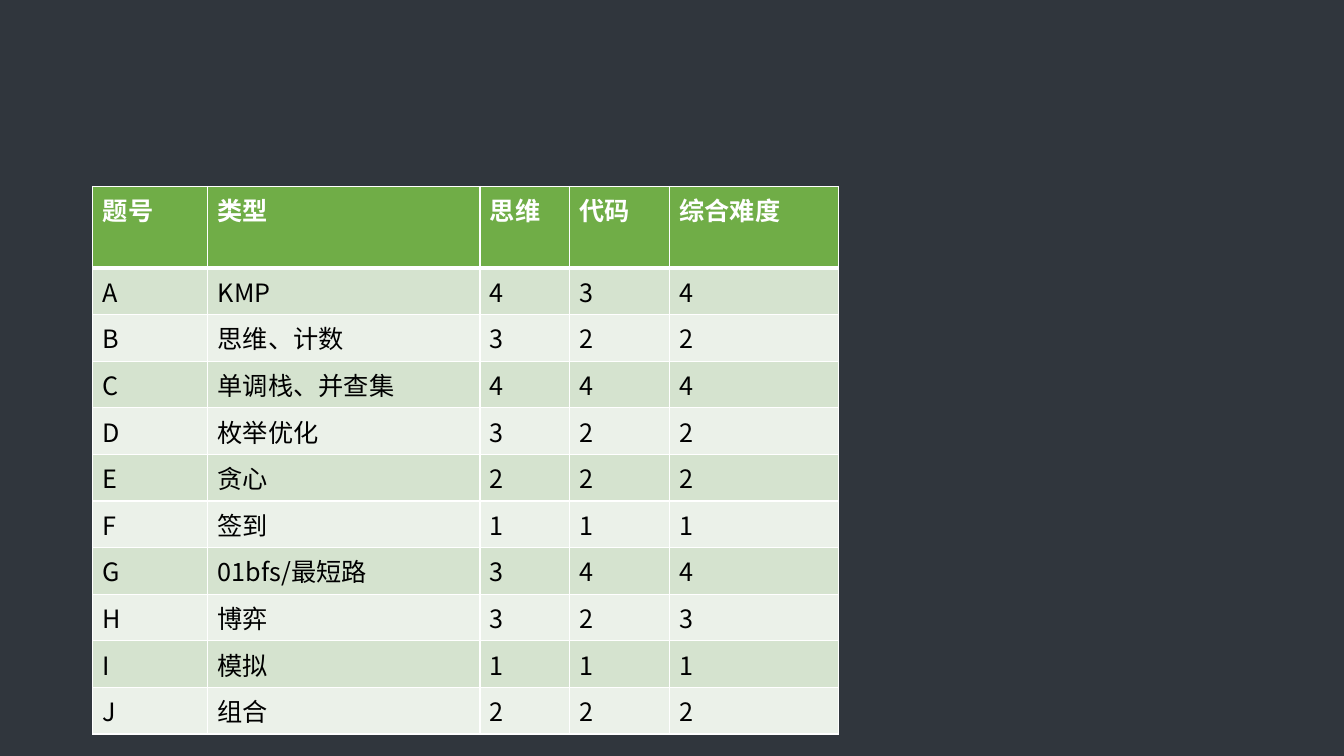
from lxml import etree
from pptx import Presentation
from pptx.dml.color import RGBColor
from pptx.enum.shapes import MSO_SHAPE
from pptx.oxml.ns import qn
from pptx.util import Inches, Pt

RECTANGLE = MSO_SHAPE.RECTANGLE

SLATE = RGBColor(0x30, 0x36, 0x3D)
GREEN = RGBColor(0x70, 0xAD, 0x47)
BAND_DARK = RGBColor(0xD5, 0xE3, 0xCF)
BAND_LIGHT = RGBColor(0xEB, 0xF1, 0xE9)
WHITE = RGBColor(0xFF, 0xFF, 0xFF)
BLACK = RGBColor(0x00, 0x00, 0x00)

SLIDE_WIDTH, SLIDE_HEIGHT = 13.33, 7.5
COLUMN_WIDTHS = [1.14, 2.7, 0.89, 0.99, 1.68]
HEADER_HEIGHT, ROW_HEIGHT = 0.81, 0.37

PROBLEMS = [
    ("题号", "类型", "思维", "代码", "综合难度"),
    ("A", "KMP", 4, 3, 4),
    ("B", "思维、计数", 3, 2, 2),
    ("C", "单调栈、并查集", 4, 4, 4),
    ("D", "枚举优化", 3, 2, 2),
    ("E", "贪心", 2, 2, 2),
    ("F", "签到", 1, 1, 1),
    ("G", "01bfs/最短路", 3, 4, 4),
    ("H", "博弈", 3, 2, 3),
    ("I", "模拟", 1, 1, 1),
    ("J", "组合", 2, 2, 2),
]


class SlideBuilder:
    """Holds the text style and the current slide."""

    font_name = "Noto Sans CJK SC"
    font_size = Pt(18)

    def __init__(self, page):
        self.page = page

    def backdrop(self, color):
        box = self.page.shapes.add_shape(
            RECTANGLE, 0, 0, Inches(SLIDE_WIDTH), Inches(SLIDE_HEIGHT))
        box.shadow.inherit = False
        box.fill.solid()
        box.fill.fore_color.rgb = color
        box.line.fill.background()

    def table(self, left, top, widths, heights, rows):
        frame = self.page.shapes.add_table(
            len(rows), len(widths), Inches(left), Inches(top),
            Inches(sum(widths)), Inches(sum(heights)))
        table = frame.table
        table.horz_banding = False
        for column, width in zip(table.columns, widths):
            column.width = Inches(width)
        for row, height in zip(table.rows, heights):
            row.height = Inches(height)
        for row_index, values in enumerate(rows):
            for column_index, value in enumerate(values):
                self.cell(table.cell(row_index, column_index), value, row_index)

    def cell(self, cell, value, row_index):
        header = row_index == 0
        # The rule between header and body is thicker
        self.borders(cell, top=3 if row_index == 1 else 1, bottom=3 if header else 1)
        cell.fill.solid()
        band = BAND_DARK if row_index % 2 else BAND_LIGHT
        cell.fill.fore_color.rgb = GREEN if header else band
        cell.text_frame.text = str(value)
        span = cell.text_frame.paragraphs[0].runs[0]
        span.font.size = self.font_size
        span.font.bold = header
        span.font.color.rgb = WHITE if header else BLACK
        span.font.name = self.font_name
        # East Asian typeface for the Chinese text
        properties = span.font._element
        etree.SubElement(properties, qn("a:ea"), typeface=self.font_name)

    def borders(self, cell, top, bottom):
        properties = cell._tc.get_or_add_tcPr()
        for side, width in (("L", 1), ("R", 1), ("T", top), ("B", bottom)):
            line = etree.SubElement(properties, qn("a:ln" + side), w=str(Pt(width)))
            fill = etree.SubElement(line, qn("a:solidFill"))
            etree.SubElement(fill, qn("a:srgbClr"), val=str(WHITE))


def main():
    deck = Presentation()
    deck.slide_width = Inches(SLIDE_WIDTH)
    deck.slide_height = Inches(SLIDE_HEIGHT)
    builder = SlideBuilder(deck.slides.add_slide(deck.slide_layouts[6]))

    # Dark background
    builder.backdrop(SLATE)

    # Problem difficulty table
    heights = [HEADER_HEIGHT] + [ROW_HEIGHT] * (len(PROBLEMS) - 1)
    builder.table(0.92, 1.85, COLUMN_WIDTHS, heights, PROBLEMS)

    deck.save("out.pptx")


if __name__ == "__main__":
    main()
